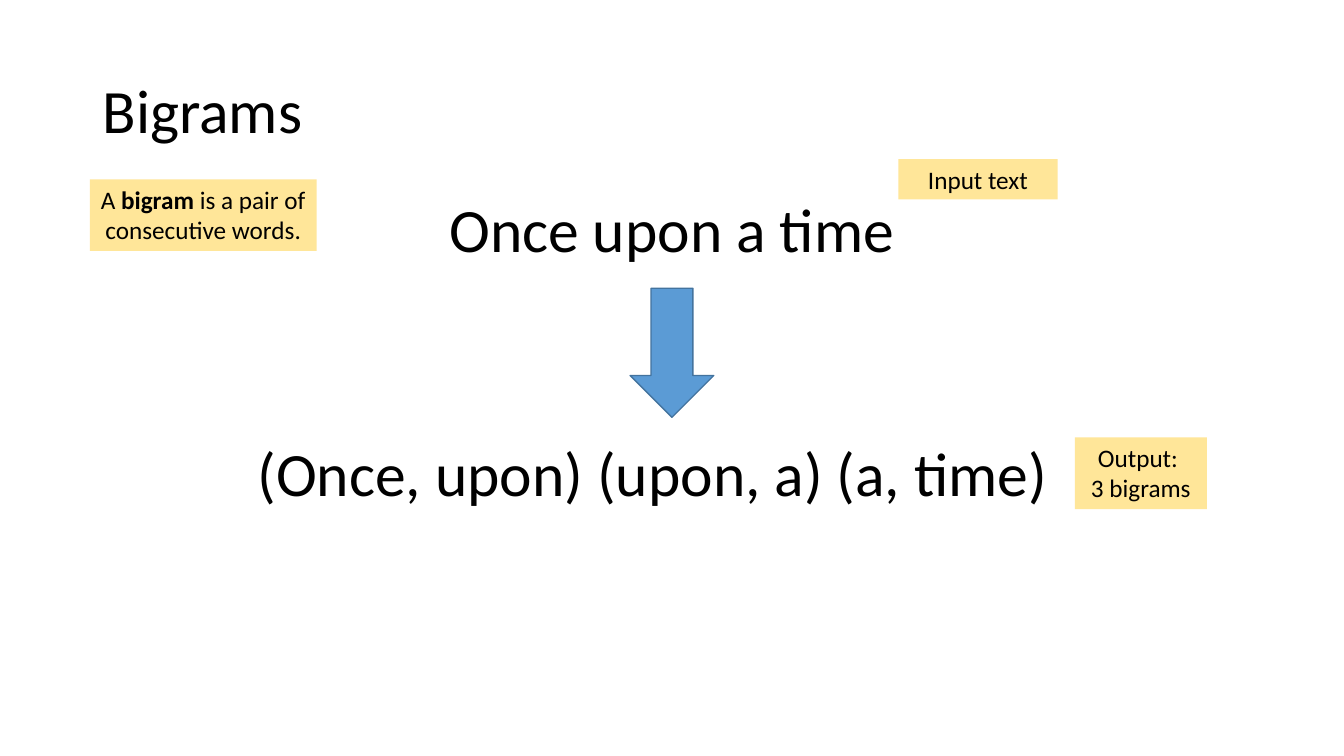
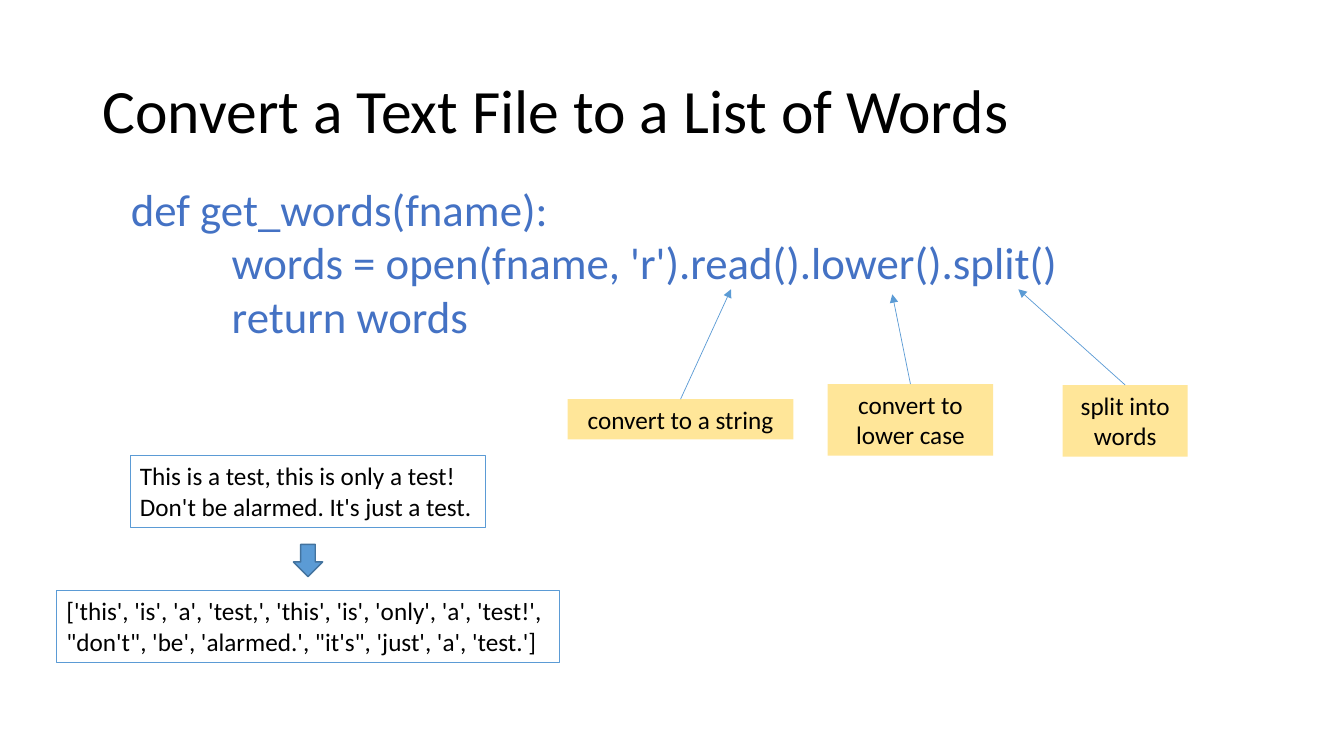
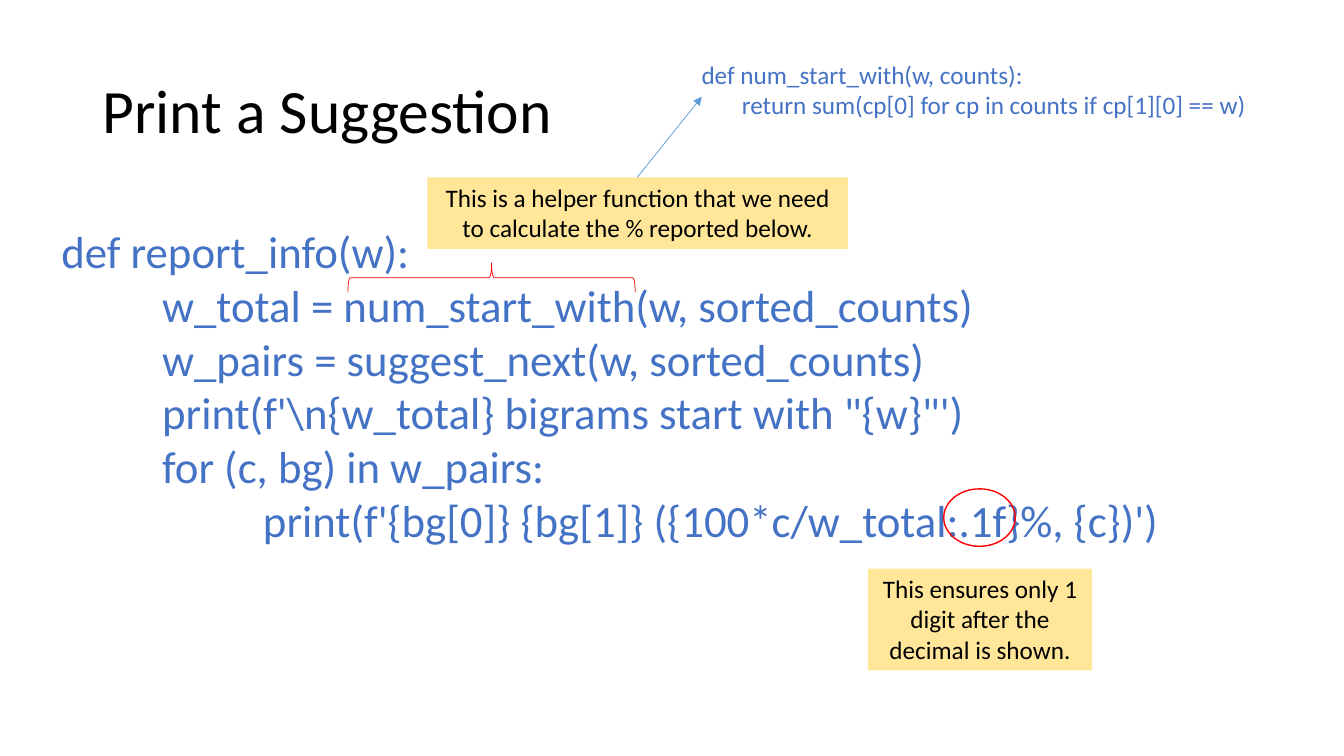
from lxml.etree import SubElement
from pptx import Presentation
from pptx.dml.color import RGBColor
from pptx.enum.shapes import MSO_CONNECTOR as Connector, MSO_SHAPE as Shape
from pptx.enum.text import MSO_ANCHOR as Anchor, MSO_AUTO_SIZE as AutoSize, PP_ALIGN as Align
from pptx.oxml.ns import qn
from pptx.util import Pt

PX = 9144
FONT = "Calibri"
BLACK = RGBColor(0x00, 0x00, 0x00)
CODE_BLUE = RGBColor(0x44, 0x72, 0xC4)
ACCENT_BLUE = RGBColor(0x5B, 0x9B, 0xD5)
DARK_BLUE = RGBColor(0x43, 0x73, 0x9E)
NOTE_YELLOW = RGBColor(0xFF, 0xE6, 0x99)
RED = RGBColor(0xFF, 0x00, 0x00)


def write(frame, lines, size=18, color=BLACK, align=Align.LEFT, indent=100, spacing=None):
    """Fill a text frame; leading tabs indent a line and ** marks bold words."""
    for number, line in enumerate(lines):
        paragraph = frame.paragraphs[0] if number == 0 else frame.add_paragraph()
        paragraph.alignment = align
        paragraph.line_spacing = spacing
        words = line.lstrip("\t")
        depth = len(line) - len(words)
        if depth:
            paragraph._p.get_or_add_pPr().set("marL", str(depth * indent * PX))
        for position, part in enumerate(words.split("**")):
            run = paragraph.add_run()
            run.text = part
            run.font.name = FONT
            run.font.size = Pt(size)
            run.font.bold = position % 2 == 1
            run.font.color.rgb = color


class Deck:
    """Holds the shared style and the slide being drawn."""

    def __init__(self, width, height):
        self.show = Presentation()
        self.show.slide_width = width * PX
        self.show.slide_height = height * PX
        self.slide = None

    def start(self, title):
        """Add a blank slide with its title."""
        self.slide = self.show.slides.add_slide(self.show.slide_layouts[6])
        heading = self.text((92, 40, 1150, 145), [title], size=44, spacing=0.9)
        heading.text_frame.auto_size = AutoSize.NONE
        heading.text_frame.vertical_anchor = Anchor.MIDDLE

    def text(self, box, lines, wrap=True, **style):
        """Add a text box."""
        holder = self.slide.shapes.add_textbox(*(length * PX for length in box))
        holder.text_frame.word_wrap = wrap
        holder.text_frame.auto_size = AutoSize.SHAPE_TO_FIT_TEXT
        write(holder.text_frame, lines, **style)
        return holder

    def code(self, box, lines, size=32, **style):
        """Add lines of program code."""
        self.text(box, lines, size=size, color=CODE_BLUE, **style)

    def note(self, box, *lines, target=None):
        """Add a yellow note, with an arrow from its top edge to any target."""
        holder = self.text(box, lines, align=Align.CENTER)
        holder.fill.solid()
        holder.fill.fore_color.rgb = NOTE_YELLOW
        if target:
            left, top, width, _ = box
            self.arrow((left + width // 2, top), target)

    def sample(self, box, lines, **style):
        """Add sample data in a thin frame."""
        holder = self.text(box, lines, **style)
        holder.line.color.rgb = ACCENT_BLUE
        holder.line.width = Pt(0.75)

    def arrow(self, start, end):
        """Add a thin arrow between two points."""
        link = self.slide.shapes.add_connector(
            Connector.STRAIGHT, *(length * PX for length in start + end))
        link.line.color.rgb = ACCENT_BLUE
        link.line.width = Pt(0.5)
        SubElement(link.line._get_or_add_ln(), qn("a:tailEnd"), type="triangle")
        SubElement(link._element.spPr, qn("a:effectLst"))

    def mark(self, kind, box, line=RED, weight=1, fill=None, rotation=0):
        """Add a preset shape without text."""
        shape = self.slide.shapes.add_shape(kind, *(length * PX for length in box))
        shape.shadow.inherit = False
        shape.rotation = rotation
        shape.line.color.rgb = line
        shape.line.width = Pt(weight)
        if fill is None:
            shape.fill.background()
        else:
            shape.fill.solid()
            shape.fill.fore_color.rgb = fill

    def down_arrow(self, box):
        """Add a blue block arrow that points down."""
        self.mark(Shape.DOWN_ARROW, box, line=DARK_BLUE, fill=ACCENT_BLUE)


def bigrams(deck):
    """Show how a phrase becomes bigrams."""
    deck.start("Bigrams")
    deck.text((409, 185, 515, 84), ["Once upon a time"], size=44, align=Align.CENTER)
    deck.text((202, 427, 891, 84), ["(Once, upon) (upon, a) (a, time)"],
              size=44, align=Align.CENTER)
    deck.down_arrow((625, 286, 83, 128))
    deck.note((891, 158, 158, 40), "Input text")
    deck.note((1066, 434, 131, 71), "Output: ", "3 bigrams")
    deck.note((89, 178, 225, 71), "A **bigram** is a pair of consecutive words.")


def list_of_words(deck):
    """Show the function that reads words from a file."""
    deck.start("Convert a Text File to a List of Words")
    deck.code((120, 175, 1043, 172), [
        "def get_words(fname):",
        "\twords = open(fname, 'r').read().lower().split()",
        "\treturn words",
    ])
    deck.note((563, 396, 224, 40), "convert to a string", target=(725, 287))
    deck.note((821, 381, 164, 71), "convert to lower case", target=(885, 292))
    deck.note((1054, 382, 124, 71), "split into words", target=(1010, 287))
    deck.sample((129, 452, 353, 71), [
        "This is a test, this is only a test!",
        "Don't be alarmed. It's just a test.",
    ], wrap=False)
    deck.sample((56, 586, 499, 71), [
        "['this', 'is', 'a', 'test,', 'this', 'is', 'only', 'a', 'test!', "
        "\"don't\", 'be', 'alarmed.', \"it's\", 'just', 'a', 'test.']",
    ])
    deck.down_arrow((291, 540, 29, 32))


def suggestion(deck):
    """Show the function that reports suggestions."""
    deck.start("Print a Suggestion")
    deck.code((51, 217, 1122, 333), [
        "def report_info(w):",
        "\tw_total = num_start_with(w, sorted_counts)",
        "\tw_pairs = suggest_next(w, sorted_counts)",
        """\tprint(f'\\n{w_total} bigrams start with "{w}"')""",
        "\tfor (c, bg) in w_pairs:",
        "\t\tprint(f'{bg[0]} {bg[1]} ({100*c/w_total:.1f}%, {c})')",
    ], wrap=False)
    deck.mark(Shape.LEFT_BRACE, (473, 133, 29, 285), weight=0.5, rotation=90)
    deck.note((424, 176, 417, 71),
              "This is a helper function that we need to calculate the % reported below.",
              target=(696, 96))
    deck.mark(Shape.OVAL, (936, 485, 71, 57))
    deck.note((861, 564, 222, 101), "This ensures only 1 digit after the decimal is shown.")
    deck.code((686, 54, 567, 71), [
        "def num_start_with(w, counts):",
        "\treturn sum(cp[0] for cp in counts if cp[1][0] == w)",
    ], size=18, indent=40, wrap=False)


def main():
    """Build and save the slides."""
    deck = Deck(1333, 750)
    for build in (bigrams, list_of_words, suggestion):
        build(deck)
    deck.show.save("out.pptx")


if __name__ == "__main__":
    main()
